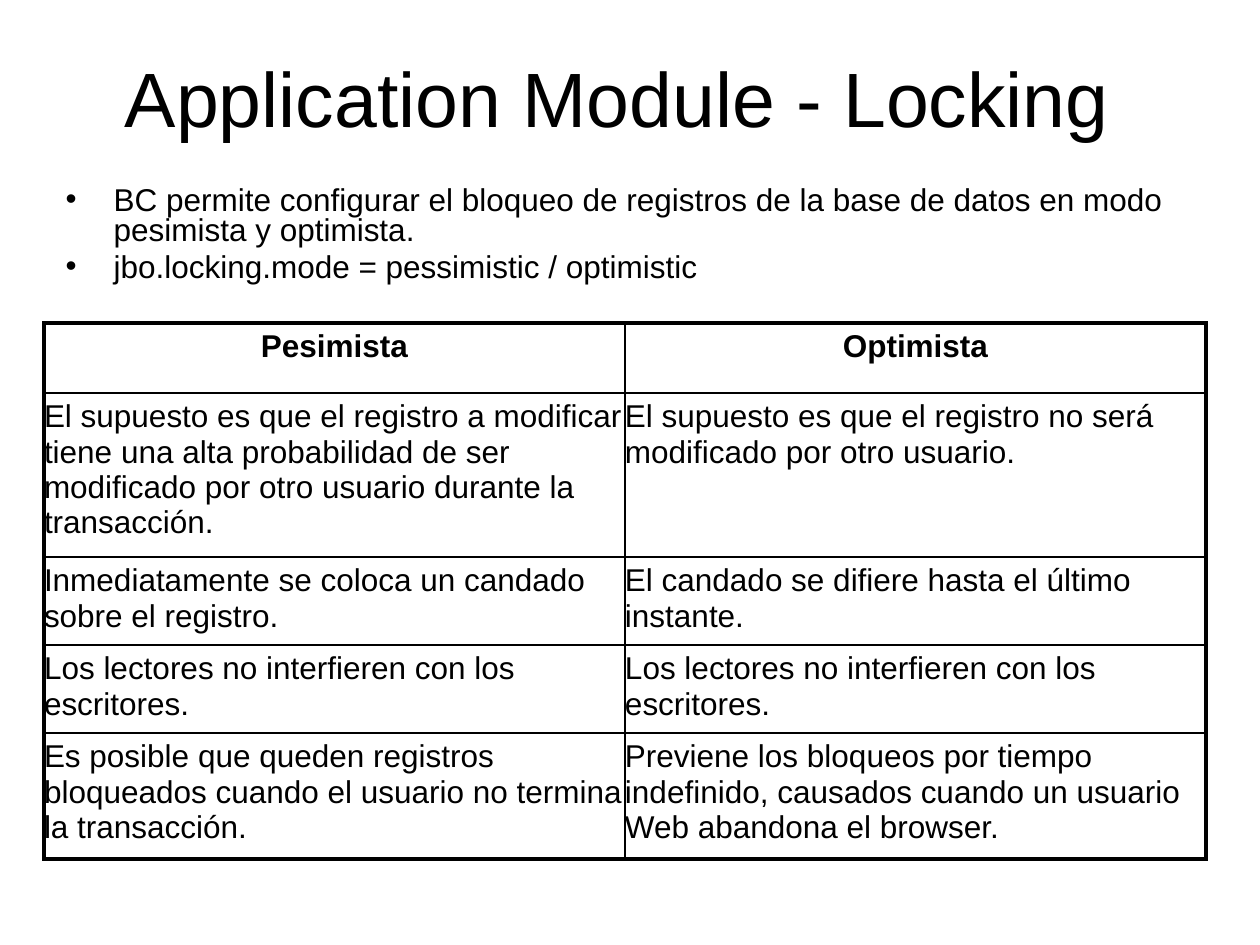
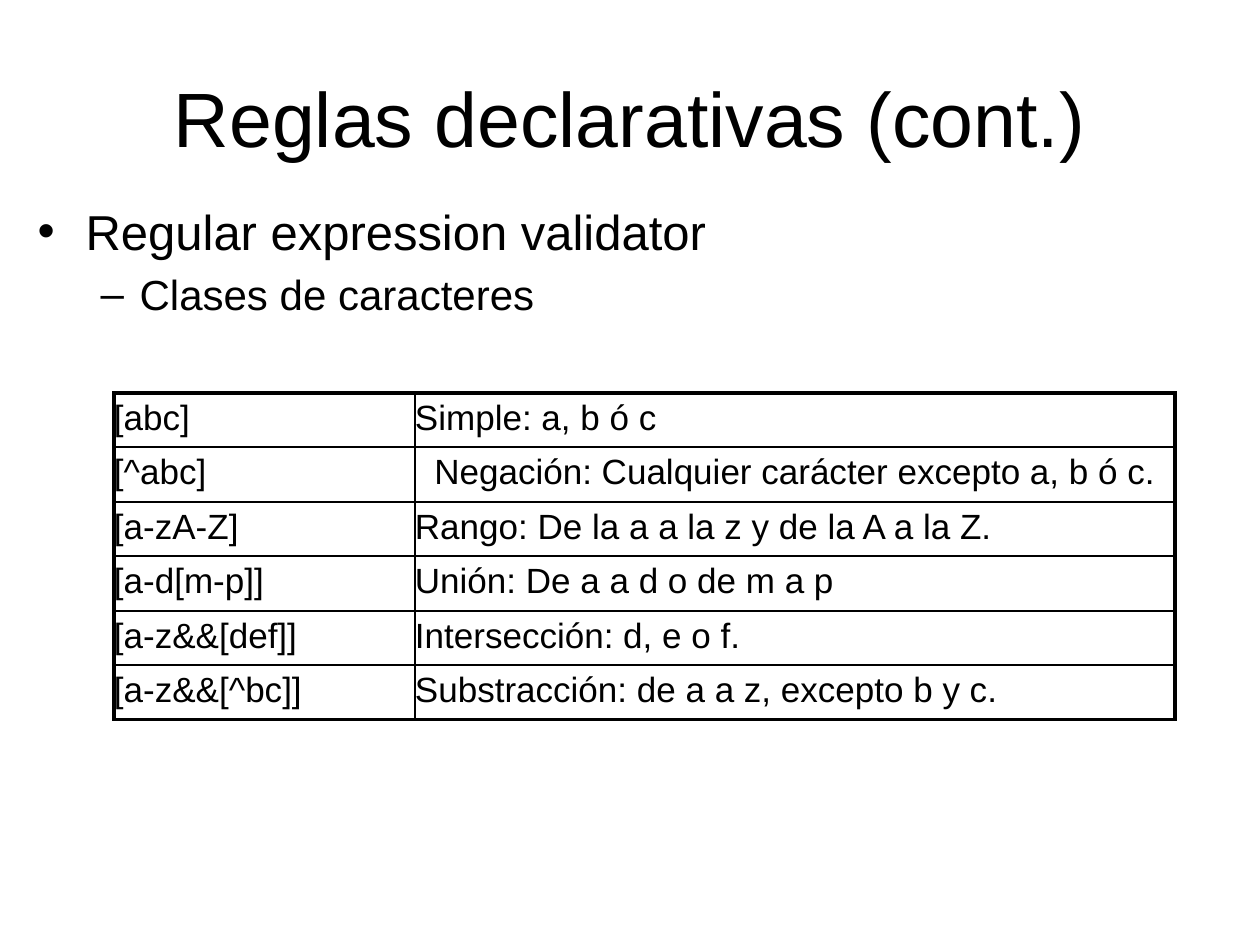
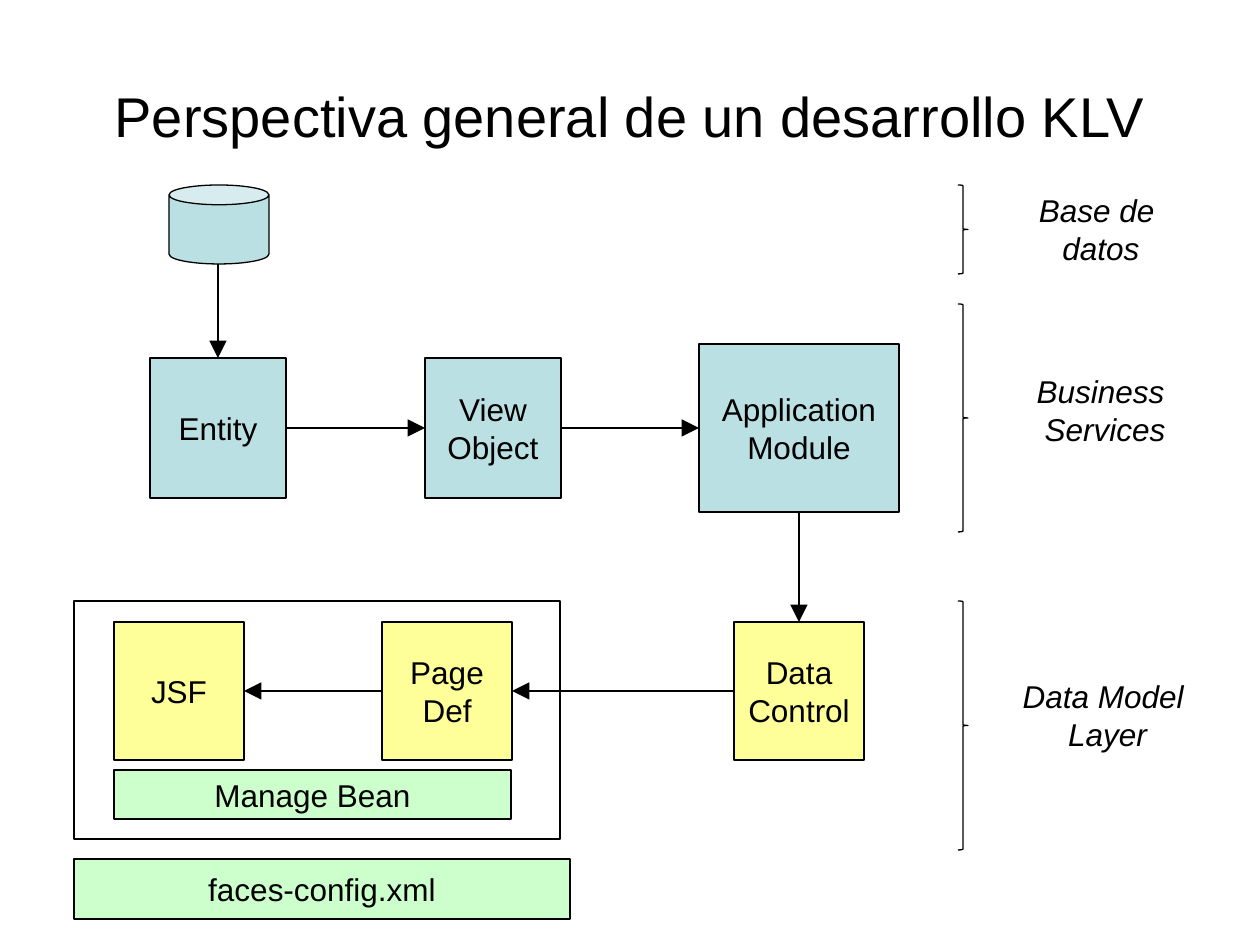
from lxml import etree
from pptx import Presentation
from pptx.dml.color import RGBColor
from pptx.enum.shapes import MSO_CONNECTOR, MSO_SHAPE
from pptx.enum.text import MSO_ANCHOR, MSO_AUTO_SIZE, PP_ALIGN
from pptx.oxml.ns import qn
from pptx.util import Emu, Pt

PX = 914400 / 126
FONT = "Arial"
COLORS = {"ink": "000000", "service": "BBE0E3", "model": "FFFF99", "config": "CCFFCC"}
LEFT, CENTER = PP_ALIGN.LEFT, PP_ALIGN.CENTER
RECT, CAN, BRACE = MSO_SHAPE.RECTANGLE, MSO_SHAPE.CAN, MSO_SHAPE.RIGHT_BRACE
STRAIGHT = MSO_CONNECTOR.STRAIGHT
TOP_SIDE, LEFT_SIDE, BOTTOM_SIDE, RIGHT_SIDE = range(4)
TITLE_AND_CONTENT, TITLE_ONLY = 1, 5
THIN, OUTER, INNER = 0.75, 2.25, 1

LOCKING = [
    ("Pesimista", "Optimista"),
    ("El supuesto es que el registro a modificar tiene una alta probabilidad de ser "
     "modificado por otro usuario durante la transacción.",
     "El supuesto es que el registro no será modificado por otro usuario."),
    ("Inmediatamente se coloca un candado sobre el registro.",
     "El candado se difiere hasta el último instante."),
    ("Los lectores no interfieren con los escritores.",
     "Los lectores no interfieren con los escritores."),
    ("Es posible que queden registros bloqueados cuando el usuario no termina la transacción.",
     "Previene los bloqueos por tiempo indefinido, causados cuando un usuario Web "
     "abandona el browser."),
]
CHARACTER_CLASSES = [
    ("[abc]", "Simple: a, b ó c"),
    ("[^abc]", "Negación: Cualquier carácter excepto a, b ó c."),
    ("[a-zA-Z]", "Rango: De la a a la z y de la A a la Z."),
    ("[a-d[m-p]]", "Unión: De a a d o de m a p"),
    ("[a-z&&[def]]", "Intersección: d, e o f."),
    ("[a-z&&[^bc]]", "Substracción: de a a z, excepto b y c."),
]


def px(n):
    return Emu(round(n * PX))


def rgb(name):
    return RGBColor.from_string(COLORS[name])


def put_text(tf, text, size=18, align=LEFT, bold=False, italic=False):
    for i, line in enumerate(text.split("\n")):
        p = tf.add_paragraph() if i else tf.paragraphs[0]
        p.alignment = align
        r = p.add_run()
        r.text = line
        r.font.name = FONT
        r.font.size = Pt(size)
        r.font.bold = bold
        r.font.italic = italic
        r.font.color.rgb = rgb("ink")


def place(sp, box):
    sp.left, sp.top, sp.width, sp.height = map(px, box)


def add_slide(prs, layout, title, box, size=44):
    s = prs.slides.add_slide(prs.slide_layouts[layout])
    place(s.shapes.title, box)
    tf = s.shapes.title.text_frame
    tf.auto_size = MSO_AUTO_SIZE.NONE
    tf.vertical_anchor = MSO_ANCHOR.MIDDLE
    put_text(tf, title, size=size, align=CENTER)
    return s


def add_bullets(s, box, items, spacing=1.0):
    sp = s.placeholders[1]
    place(sp, box)
    tf = sp.text_frame
    tf.auto_size = MSO_AUTO_SIZE.NONE
    put_text(tf, "\n".join(text for text, *_ in items))
    for i, (p, (_, level, size, margin, hanging)) in enumerate(zip(tf.paragraphs, items)):
        p.level = level
        p.line_spacing = spacing
        p.space_before = Pt(0.2 * size if i else 0)
        p.runs[0].font.size = Pt(size)
        pPr = p._p.get_or_add_pPr()
        pPr.set("marL", str(px(margin)))
        pPr.set("indent", str(-px(hanging)))


def set_borders(cell, widths):
    tcPr = cell._tc.get_or_add_tcPr()
    for side, width in zip("LRTB", widths):
        ln = etree.SubElement(tcPr, qn(f"a:ln{side}"), w=str(Pt(width)))
        fill = etree.SubElement(ln, qn("a:solidFill"))
        etree.SubElement(fill, qn("a:srgbClr"), val=COLORS["ink"])


def add_grid(s, x, y, widths, heights, rows, size=18, header=False, centered=()):
    box = map(px, (x, y, sum(widths), sum(heights)))
    table = s.shapes.add_table(len(rows), len(widths), *box).table
    table.first_row = table.horz_banding = False
    for column, width in zip(table.columns, widths):
        column.width = px(width)
    for row, height in zip(table.rows, heights):
        row.height = px(height)
    last_row, last_col = len(rows) - 1, len(widths) - 1
    for i, row in enumerate(rows):
        for j, text in enumerate(row):
            cell = table.cell(i, j)
            cell.margin_left = cell.margin_right = 0
            is_header = header and i == 0
            align = CENTER if is_header or (i, j) in centered else LEFT
            put_text(cell.text_frame, text, size=size, align=align, bold=is_header)
            edges = (j == 0, j == last_col, i == 0, i == last_row)
            set_borders(cell, [OUTER if edge else INNER for edge in edges])
            cell.fill.background()


def add_box(s, box, text="", fill=None, kind=RECT):
    sp = s.shapes.add_shape(kind, *map(px, box))
    sp.shadow.inherit = False
    if fill:
        sp.fill.solid()
        sp.fill.fore_color.rgb = rgb(fill)
    else:
        sp.fill.background()
    sp.line.color.rgb = rgb("ink")
    sp.line.width = Pt(THIN)
    if text:
        sp.text_frame.word_wrap = False
        put_text(sp.text_frame, text, align=CENTER)
    return sp


def add_label(s, box, text):
    tf = s.shapes.add_textbox(*map(px, box)).text_frame
    tf.word_wrap = False
    put_text(tf, text, align=CENTER, italic=True)


def add_arrow(s, target, target_side, source=None, source_side=None, start=(0, 0)):
    x, y = map(px, start)
    c = s.shapes.add_connector(STRAIGHT, x, y, x, y)
    if source is not None:
        c.begin_connect(source, source_side)
    c.end_connect(target, target_side)
    c.line.color.rgb = rgb("ink")
    c.line.width = Pt(THIN)
    spPr = c.element.spPr
    etree.SubElement(spPr.find(qn("a:ln")), qn("a:tailEnd"), type="triangle", w="lg", len="lg")
    etree.SubElement(spPr, qn("a:effectLst"))


def locking_slide(prs):
    s = add_slide(prs, TITLE_AND_CONTENT, "Application Module - Locking", (19, 18, 1197, 157))
    add_bullets(s, (53, 181, 1123, 113), [
        ("BC permite configurar el bloqueo de registros de la base de datos en modo "
         "pesimista y optimista.", 0, 18, 48, 48),
        ("jbo.locking.mode = pessimistic / optimistic", 0, 18, 48, 48),
    ], spacing=0.8)
    add_grid(s, 44, 323, [581, 581], [70, 164, 88, 88, 126], LOCKING, header=True)


def rules_slide(prs):
    s = add_slide(prs, TITLE_AND_CONTENT, "Reglas declarativas (cont.)", (63, 38, 1134, 158))
    add_bullets(s, (25, 195, 735, 169), [
        ("Regular expression validator", 0, 28, 48, 48),
        ("Clases de caracteres", 1, 24, 102, 39),
    ])
    add_grid(s, 114, 393, [301, 760], [54, 55] * 3, CHARACTER_CLASSES, size=20,
             centered={(1, 1)})


def overview_slide(prs):
    s = add_slide(prs, TITLE_ONLY, "Perspectiva general de un desarrollo KLV",
                  (63, 76, 1134, 79), size=32)
    add_box(s, (74, 601, 486, 238))
    add_box(s, (169, 185, 100, 79), fill="service", kind=CAN)
    entity, view = [add_box(s, (x, 358, 136, 140), text, "service")
                    for x, text in ((150, "Entity"), (425, "View\nObject"))]
    module = add_box(s, (699, 344, 200, 168), "Application\nModule", "service")
    jsf, page_def, control = [
        add_box(s, (x, 622, 130, 138), text, "model")
        for x, text in ((114, "JSF"), (382, "Page\nDef"), (734, "Data\nControl"))]
    add_box(s, (114, 770, 397, 49), "Manage Bean", "config")
    add_box(s, (74, 859, 496, 60), "faces-config.xml", "config")

    add_arrow(s, entity, TOP_SIDE, start=(218, 264))
    add_arrow(s, view, LEFT_SIDE, entity, RIGHT_SIDE)
    add_arrow(s, module, LEFT_SIDE, view, RIGHT_SIDE)
    add_arrow(s, control, TOP_SIDE, module, BOTTOM_SIDE)
    add_arrow(s, page_def, RIGHT_SIDE, control, LEFT_SIDE)
    add_arrow(s, jsf, RIGHT_SIDE, page_def, LEFT_SIDE)

    layers = [
        (185, 89, (1026, 185, 150, 88), "Base de \ndatos"),
        (304, 228, (1023, 366, 164, 88), "Business \nServices"),
        (601, 249, (1010, 671, 195, 88), "Data Model \nLayer"),
    ]
    for top, height, label_box, text in layers:
        add_box(s, (958, top, 10, height), kind=BRACE)
        add_label(s, label_box, text)


def main():
    prs = Presentation()
    prs.slide_width, prs.slide_height = px(1260), px(945)
    locking_slide(prs)
    rules_slide(prs)
    overview_slide(prs)
    prs.save("out.pptx")


if __name__ == "__main__":
    main()
